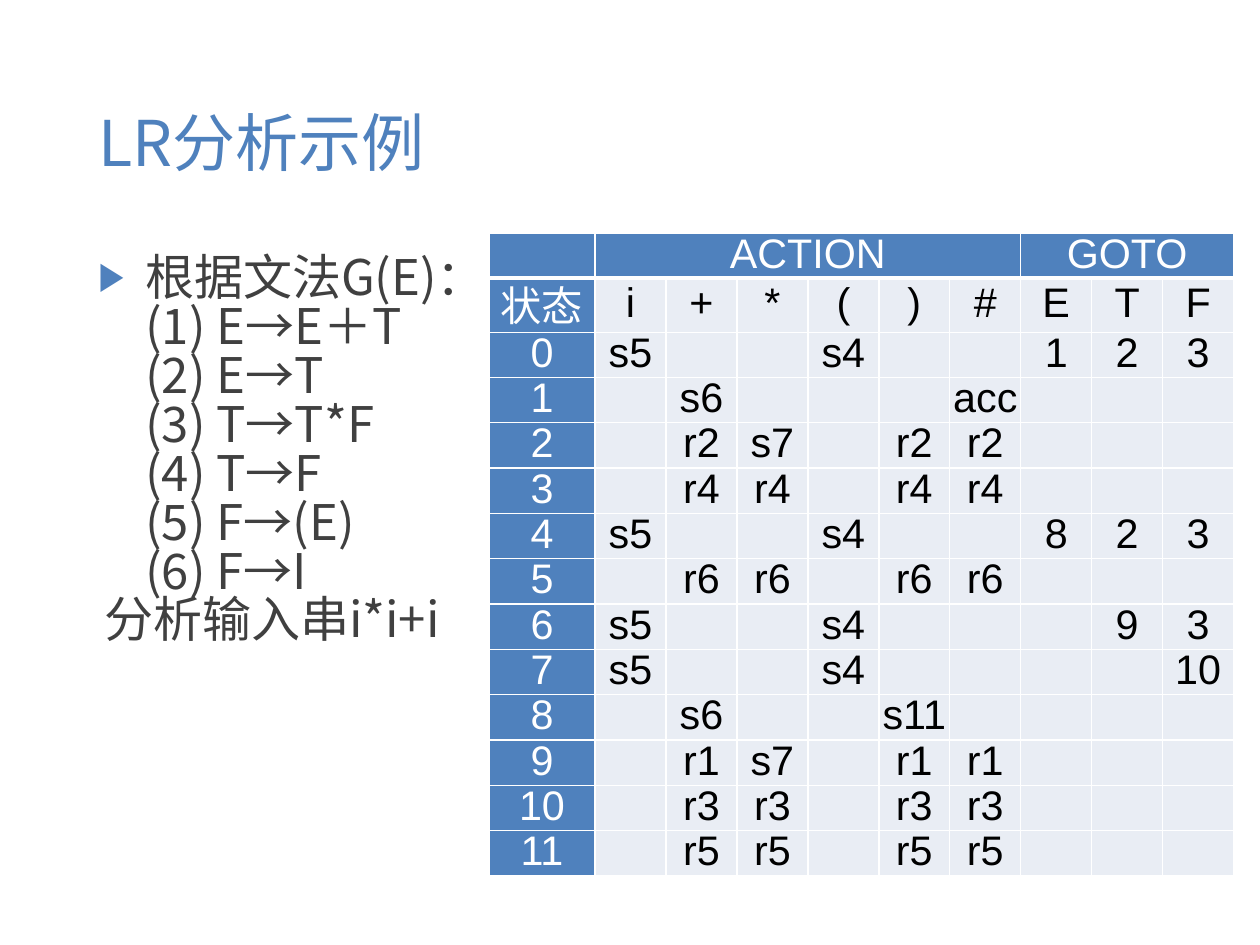
"""Build the LR parsing example slide with its grammar and ACTION/GOTO table."""
from lxml.etree import SubElement
from pptx import Presentation
from pptx.dml.color import RGBColor
from pptx.enum.text import MSO_ANCHOR as ANCHOR, MSO_AUTO_SIZE as AUTO, PP_ALIGN as ALIGN
from pptx.oxml.ns import qn
from pptx.util import Pt

PX = 8000
BLUE, PALE, WHITE, BLACK, GREY = "4F81BD", "E9EDF4", "FFFFFF", "000000", "404040"
CJK = "Noto Sans CJK SC"


def rgb(value):
    return RGBColor.from_string(value)


def add_run(p, text, size, font, color):
    r = p.add_run()
    r.text = text
    r.font.size = Pt(size)
    r.font.name = font
    r.font.bold = False
    r.font.color.rgb = rgb(color)
    SubElement(r.font._element, qn("a:ea"), typeface=CJK)


prs = Presentation()
prs.slide_width, prs.slide_height = 1260 * PX, 945 * PX
s = prs.slides.add_slide(prs.slide_layouts[1])

title, body = s.shapes.title, s.placeholders[1]
for sp, top, height in ((title, 50, 183), (body, 251, 600)):
    sp.left, sp.top, sp.width, sp.height = 87 * PX, top * PX, 1087 * PX, height * PX
    sp.text_frame.auto_size = AUTO.NONE
    sp.text_frame.word_wrap = True

title.text_frame.vertical_anchor = ANCHOR.MIDDLE
p = title.text_frame.paragraphs[0]
p.alignment = ALIGN.LEFT
add_run(p, "LR分析示例", 39.7, CJK, BLUE)

grammar = [
    ("根据文法G(E)：", 0, 47, -47),
    ("(1) E→E＋T", 1, 47, 0),
    ("(2) E→T", 1, 47, 0),
    ("(3) T→T*F", 1, 47, 0),
    ("(4) T→F", 1, 47, 0),
    ("(5) F→(E)", 1, 47, 0),
    ("(6) F→I", 1, 47, 0),
    ("分析输入串i*i+i", 0, 6, 0),
]
tf = body.text_frame
tf.vertical_anchor = ANCHOR.TOP
for i, (text, level, margin, indent) in enumerate(grammar):
    p = tf.add_paragraph() if i else tf.paragraphs[0]
    p.level = level
    pPr = p._p.get_or_add_pPr()
    pPr.set("marL", str(margin * PX))
    pPr.set("indent", str(indent * PX))
    if indent:
        SubElement(SubElement(pPr, qn("a:buClr")), qn("a:srgbClr"), val=BLUE)
        SubElement(pPr, qn("a:buSzPct"), val="80000")
        SubElement(pPr, qn("a:buChar"), char="▶")
    else:
        SubElement(pPr, qn("a:buNone"))
    p.alignment = ALIGN.LEFT
    p.line_spacing = 0.83
    p.space_before = Pt(0)
    add_run(p, text, 30.9, CJK, GREY)

rows = [line.split(",") for line in (
    ",ACTION,,,,,,GOTO,,",
    "状态,i,+,*,(,),#,E,T,F",
    "0,s5,,,s4,,,1,2,3",
    "1,,s6,,,,acc,,,",
    "2,,r2,s7,,r2,r2,,,",
    "3,,r4,r4,,r4,r4,,,",
    "4,s5,,,s4,,,8,2,3",
    "5,,r6,r6,,r6,r6,,,",
    "6,s5,,,s4,,,,9,3",
    "7,s5,,,s4,,,,,10",
    "8,,s6,,,s11,,,,",
    "9,,r1,s7,,r1,r1,,,",
    "10,,r3,r3,,r3,r3,,,",
    "11,,r5,r5,,r5,r5,,,",
)]
table = s.shapes.add_table(len(rows), len(rows[0]), 489 * PX, 233 * PX, 745 * PX, 635 * PX).table
table.first_row = table.horz_banding = False
for j, col in enumerate(table.columns):
    col.width = (71 if j else 106) * PX
table.cell(0, 1).merge(table.cell(0, 6))
table.cell(0, 7).merge(table.cell(0, 9))

for i, row in enumerate(rows):
    for j, text in enumerate(row):
        cell = table.cell(i, j)
        heading = i == 0 or j == 0
        cell.margin_left = cell.margin_right = 2 * PX
        cell.margin_top = cell.margin_bottom = 0
        cell.vertical_anchor = ANCHOR.MIDDLE
        tcPr = cell._tc.get_or_add_tcPr()
        for side in ("L", "R", "T", "B"):
            width = 3 if i == 0 and side == "B" else 1
            ln = SubElement(tcPr, qn(f"a:ln{side}"), w=str(Pt(width)))
            SubElement(SubElement(ln, qn("a:solidFill")), qn("a:srgbClr"), val=WHITE)
        cell.fill.solid()
        cell.fill.fore_color.rgb = rgb(BLUE if heading else PALE)
        if text:
            p = cell.text_frame.paragraphs[0]
            p.alignment = ALIGN.CENTER
            p.line_spacing = 0.9
            add_run(p, text, 26, "Arial", WHITE if heading else BLACK)

prs.save("out.pptx")
